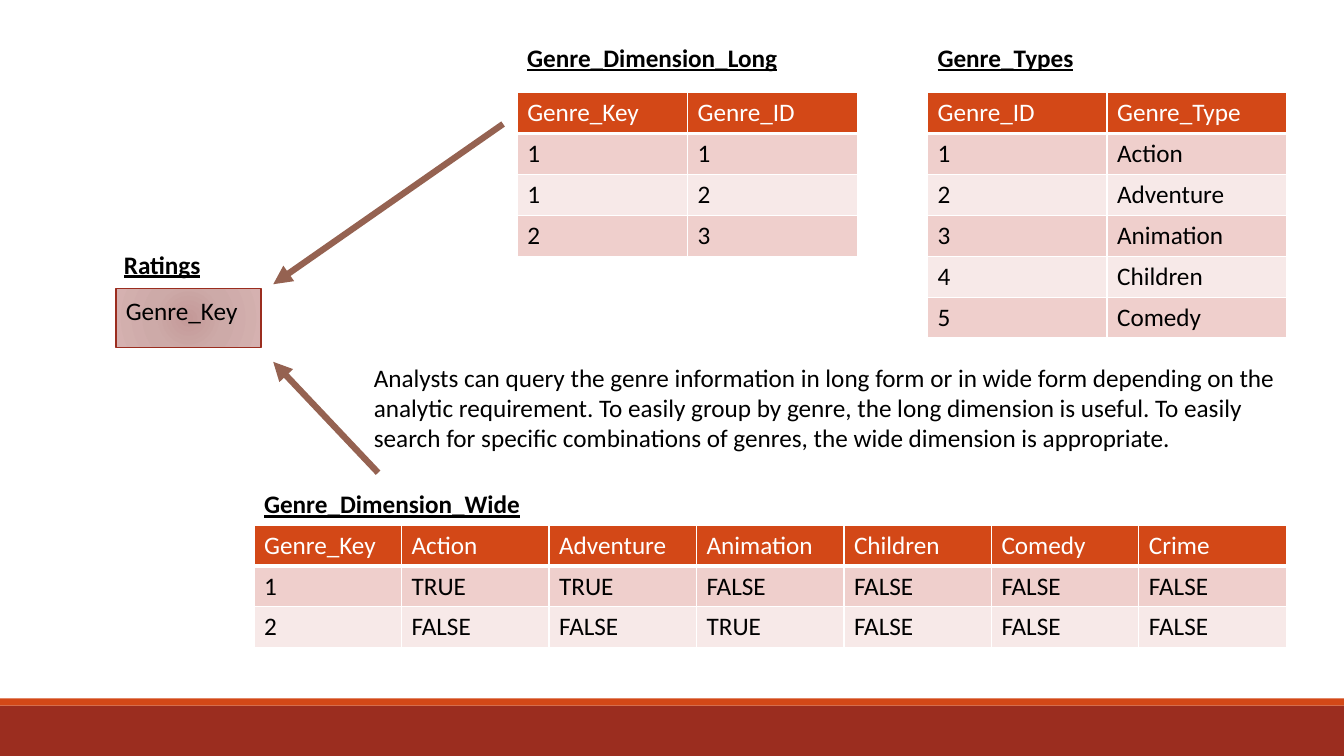
from pptx import Presentation
from pptx.util import Inches, Pt
from pptx.dml.color import RGBColor
from pptx.enum.shapes import MSO_SHAPE as Shape, MSO_CONNECTOR as Conn
from pptx.oxml import parse_xml
from pptx.oxml.ns import nsdecls
from lxml.etree import SubElement as Sub

RUST = RGBColor(0x9B, 0x2D, 0x1F)
ORANGE = RGBColor(0xD3, 0x48, 0x17)
BROWN = RGBColor(0x95, 0x62, 0x51)
PINK = RGBColor(0xEF, 0xCF, 0xCC)
PALE = RGBColor(0xF7, 0xE9, 0xE8)
BLACK = RGBColor(0, 0, 0)
WHITE = RGBColor(255, 255, 255)

FONT = "Calibri"
ROW = 0.405  # table row height
NS = nsdecls("a")

LONG = [("Genre_Key", "Genre_ID"), ("1", "1"), ("1", "2"), ("2", "3")]
KINDS = ["Action", "Adventure", "Animation", "Children", "Comedy", "Crime"]
TYPES = [("Genre_ID", "Genre_Type")]
TYPES += [(str(i), kind) for i, kind in enumerate(KINDS[:5], 1)]
# Genres that are true for each key
FLAGS = {"1": ["Action", "Adventure"], "2": ["Animation"]}
WIDE = [["Genre_Key"] + KINDS]
WIDE += [[key] + [str(kind in true).upper() for kind in KINDS]
         for key, true in FLAGS.items()]

NOTE = ("Analysts can query the genre information in long form or in wide form "
        "depending on the analytic requirement. To easily group by genre, the "
        "long dimension is useful. To easily search for specific combinations "
        "of genres, the wide dimension is appropriate.")


def style(frame, color=BLACK, title=False):
    for run in frame.paragraphs[0].runs:
        font = run.font
        font.name, font.size = FONT, Pt(18)
        font.color.rgb = color
        if title:
            font.bold = font.underline = True


def add_text(slide, text, x, y, w, h=0.4, title=False):
    frame = slide.shapes.add_textbox(
        Inches(x), Inches(y), Inches(w), Inches(h)).text_frame
    frame.word_wrap = True
    frame.text = text
    style(frame, title=title)


def add_rect(slide, x, y, w, h, color):
    rect = slide.shapes.add_shape(
        Shape.RECTANGLE, Inches(x), Inches(y), Inches(w), Inches(h))
    rect.shadow.inherit = False
    rect.fill.solid()
    rect.fill.fore_color.rgb = color
    rect.line.fill.background()
    return rect


def add_key(slide, x, y, w, h):
    """Rectangle with a radial gradient."""
    box = add_rect(slide, x, y, w, h, PINK)
    box.line.color.rgb = RUST
    box.line.width = Pt(1)
    stops = "".join(
        f'<a:gs pos="{pos}000"><a:srgbClr val="{color}"/></a:gs>'
        for pos, color in [(0, "C49998"), (45, "CDAAA8"), (100, "D5B1B0")])
    grad = parse_xml(
        f'<a:gradFill {NS}><a:gsLst>{stops}</a:gsLst><a:path path="circle">'
        '<a:fillToRect l="100000" t="100000" r="100000" b="100000"/>'
        '</a:path></a:gradFill>')
    props = box.element.spPr
    props.replace(props.find("{*}solidFill"), grad)


def add_edges(cell, head):
    props = cell._tc.get_or_add_tcPr()
    for i, side in enumerate("LRTB"):
        width = Pt(3 if head and side == "B" else 1)
        props.insert(i, parse_xml(
            f'<a:ln{side} {NS} w="{width}"><a:solidFill>'
            f'<a:srgbClr val="{WHITE}"/></a:solidFill></a:ln{side}>'))


def add_grid(slide, rows, x, y, w):
    count = len(rows[0])
    grid = slide.shapes.add_table(
        len(rows), count, Inches(x), Inches(y),
        Inches(w), Inches(ROW * len(rows))).table
    for col in grid.columns:
        col.width = Inches(w / count)
    for r, row in enumerate(rows):
        grid.rows[r].height = Inches(ROW)
        for c, text in enumerate(row):
            cell = grid.cell(r, c)
            cell.text = text
            style(cell.text_frame, BLACK if r else WHITE)
            cell.fill.solid()
            cell.fill.fore_color.rgb = (PINK if r % 2 else PALE) if r else ORANGE
            add_edges(cell, r == 0)


def add_arrow(slide, x1, y1, x2, y2):
    arrow = slide.shapes.add_connector(
        Conn.STRAIGHT, Inches(x1), Inches(y1), Inches(x2), Inches(y2))
    arrow.line.color.rgb = BROWN
    arrow.line.width = Pt(4.5)
    arrow.line._get_or_add_ln().append(
        parse_xml(f'<a:tailEnd {NS} type="triangle"/>'))
    props = arrow.element.spPr
    Sub(props, "{%s}effectLst" % props.nsmap["a"])


def main():
    deck = Presentation()
    deck.slide_width, deck.slide_height = Inches(13.33), Inches(7.5)
    slide = deck.slides.add_slide(deck.slide_layouts[6])

    # Footer bands
    add_rect(slide, 0, 7, 13.33, 0.5, RUST)
    add_rect(slide, 0, 6.93, 13.33, 0.07, ORANGE)

    # Genre tables
    add_grid(slide, LONG, 5.13, 0.92, 3.38)
    add_grid(slide, TYPES, 9.2, 0.92, 3.56)
    add_grid(slide, WIDE, 2.52, 5.21, 10.24)

    # Ratings key
    add_key(slide, 1.15, 2.86, 1.44, 0.59)
    add_text(slide, "Genre_Key", 1.15, 2.88, 1.44)

    # Table titles
    for text, x, y, w in [("Ratings", 1.13, 2.42, 2.32),
                          ("Genre_Dimension_Long", 5.13, 0.37, 2.95),
                          ("Genre_Types", 9.2, 0.37, 2.95),
                          ("Genre_Dimension_Wide", 2.52, 4.8, 2.95)]:
        add_text(slide, text, x, y, w, title=True)

    # Explanation and arrows to the key
    add_text(slide, NOTE, 3.61, 3.54, 9.2, 1.01)
    add_arrow(slide, 4.99, 1.23, 2.71, 2.82)
    add_arrow(slide, 3.75, 4.69, 2.71, 3.59)

    deck.save("out.pptx")


if __name__ == "__main__":
    main()
